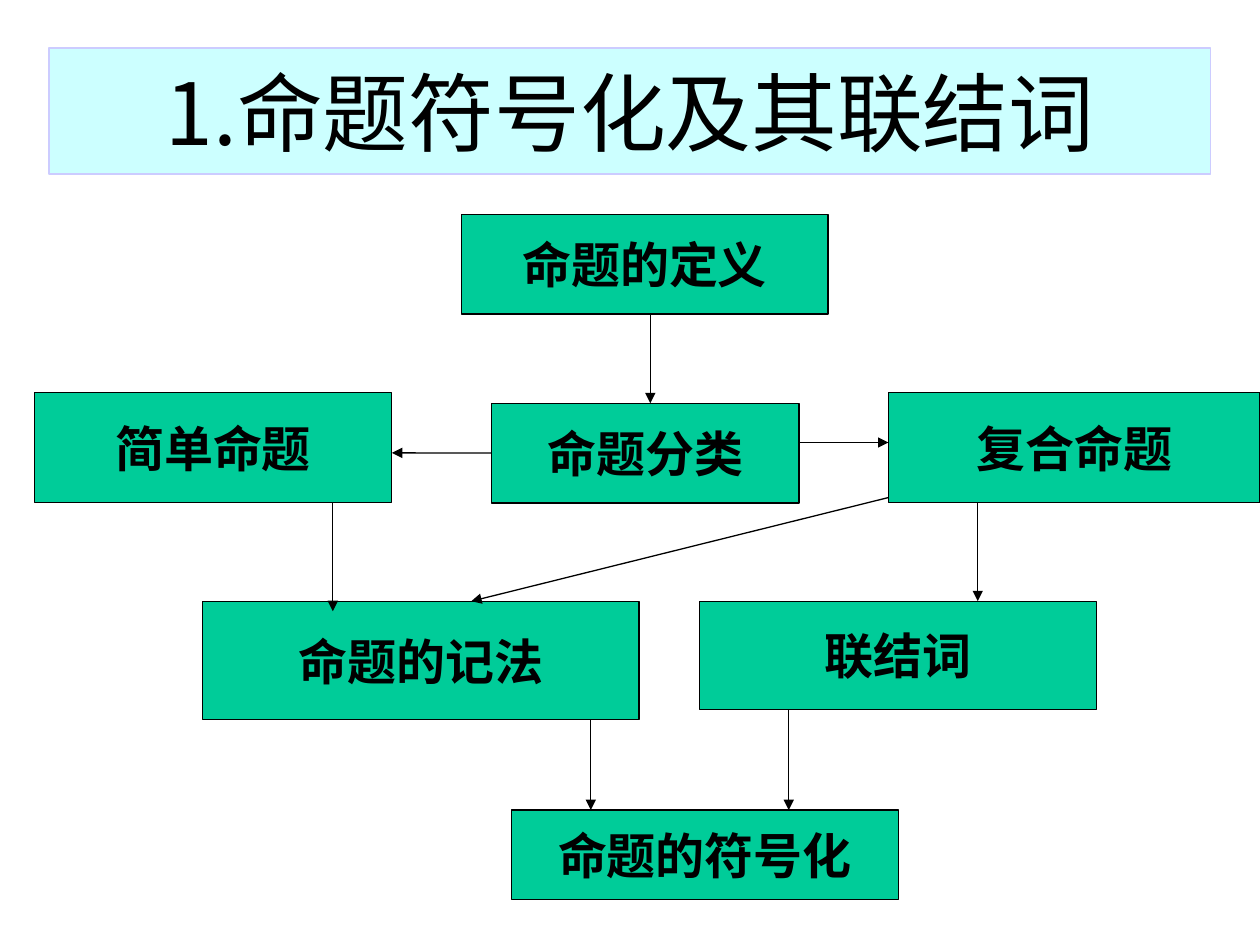
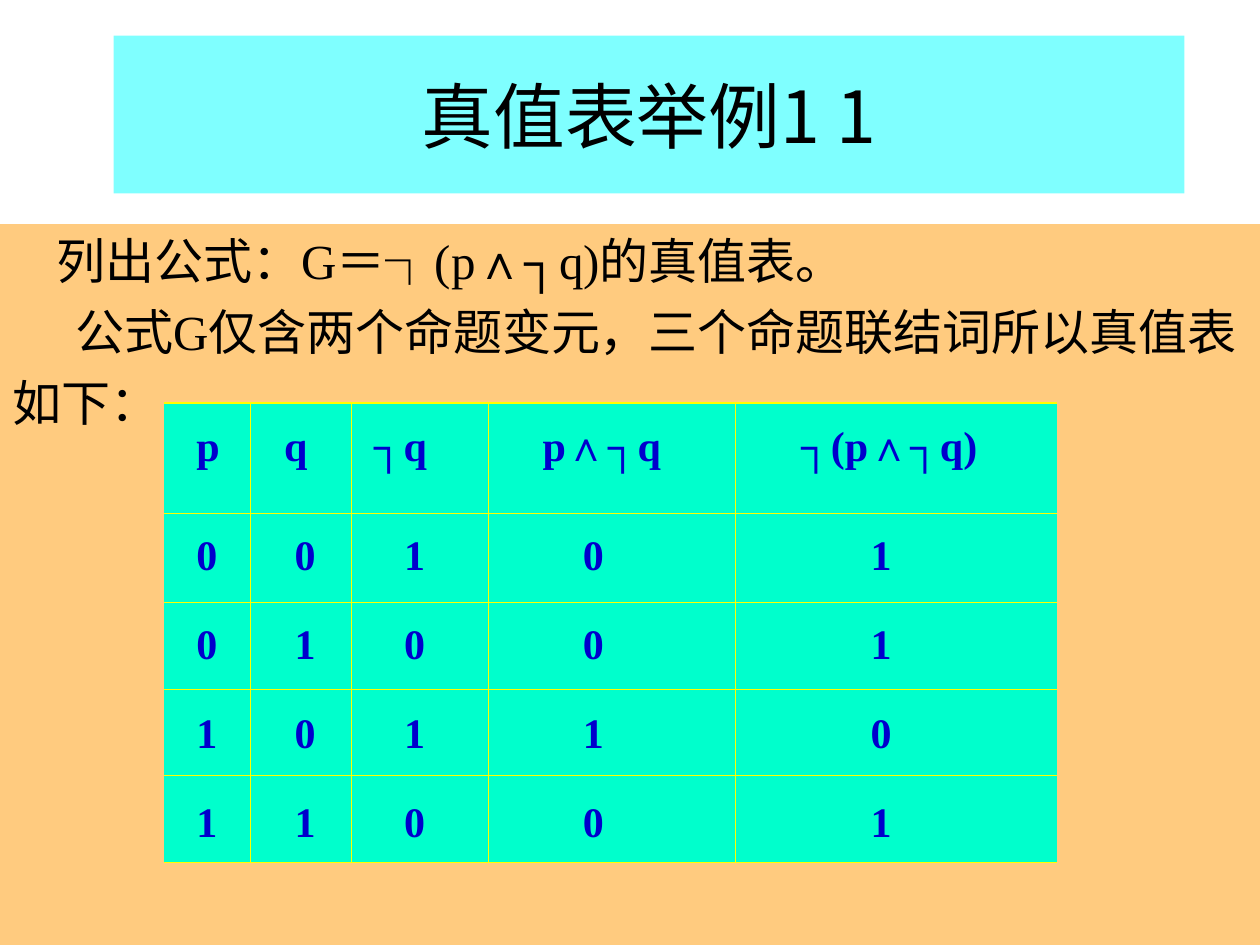
from dataclasses import dataclass

from lxml import etree
from pptx import Presentation
from pptx import util as u
from pptx.dml.color import RGBColor
from pptx.enum import shapes, text
from pptx.oxml import ns


@dataclass(frozen=True)
class Theme:
    ink: str = "000000"
    title_border: str = "CCCCFF"
    outline_title: str = "CCFFFF"
    example_title: str = "00FFFF"
    body_fill: str = "FF9900"
    node: str = "00CC99"
    cell: str = "00FFCC"
    grid: str = "FFFF00"
    value: str = "0000CC"
    serif: str = "Times New Roman"
    sans: str = "Noto Sans CJK JP"
    outline_title_size: int = 49
    example_title_size: int = 41
    text_size: int = 28
    value_size: int = 24
    line: float = 0.75
    inner_line: float = 0.45
    outer_line: float = 1.08


THEME = Theme()

# Outline: name -> left, top, width, height inside the diagram
NODES = {
    "命题的定义": (8.61, 0, 7.39, 2.01),
    "命题分类": (9.22, 3.81, 6.2, 2.01),
    "命题的记法": (3.4, 7.8, 8.79, 2.39),
    "联结词": (13.41, 7.8, 8, 2.18),
    "命题的符号化": (9.62, 12.01, 7.8, 1.8),
    "简单命题": (0, 3.6, 7.21, 2.21),
    "复合命题": (17.22, 3.6, 7.49, 2.21),
}
# Arrows: start x, y, end x, y inside the diagram
ARROWS = [
    (12.42, 2.01, 12.42, 3.81),
    (15.42, 4.6, 17.22, 4.6),
    (6.02, 5.81, 6.02, 8),
    (17.22, 5.71, 8.81, 7.8),
    (19.02, 5.81, 19.02, 7.8),
    (11.22, 10.2, 11.22, 12.01),
    (15.21, 9.98, 15.21, 12.01),
]
CLASSES_TO_SIMPLE = (9.22, 4.81, 7.21, 4.81)

# Body paragraphs: text, left margin, first-line indent, space before
BODY = [
    ("列出公式：G＝┐(p∧┐q)的真值表。", 0.9, 0, 0),
    ("公式G仅含两个命题变元，三个命题联结词所以真值表", 0.97, 0.3, 7),
    ("如下：", 0, 0, 7),
]

# Truth table
HEADINGS = ["p", "q", "┐q", "p∧┐q", "┐(p∧┐q)"]
VALUES = ["00101", "01001", "10110", "11001"]
COLUMN_WIDTHS = [1.75, 2.03, 2.77, 4.98, 6.48]
ROW_HEIGHTS = [2.21, 1.8, 1.75, 1.75, 1.75]
HEADING_LEFTS = [0.41, 2.18, 3.99, 7.39, 12.6]
HEADING_WIDTHS = [1, 1, 2.2, 3.4, 4.4]
VALUE_LEFTS = [0.41, 2.39, 4.6, 8.2, 14]


def cm(*lengths):
    return [u.Cm(length) for length in lengths]


def paint(fill, color, opacity=None):
    fill.solid()
    fill.fore_color.rgb = RGBColor.from_string(color)
    if opacity is not None:
        tint = fill._xPr.find(".//" + ns.qn("a:srgbClr"))
        etree.SubElement(tint, ns.qn("a:alpha"), val=str(opacity * 1000))


def style(font, size, color=THEME.ink, name=THEME.serif, bold=False):
    font.size, font.name, font.bold = u.Pt(size), name, bold
    font.color.rgb = RGBColor.from_string(color)


def add_panel(slide, box, color, opacity=None, border=None,
              kind=shapes.MSO_SHAPE.RECTANGLE):
    panel = slide.shapes.add_shape(kind, *cm(*box))
    panel.shadow.inherit = False
    paint(panel.fill, color, opacity)
    if border:
        panel.line.color.rgb = RGBColor.from_string(border)
        panel.line.width = u.Pt(THEME.line)
    else:
        panel.line.fill.background()
    return panel


def add_title(slide, box, parts, size, color, opacity=None, border=None):
    """Title band; parts are (text, font name) pairs."""
    band = add_panel(slide, box, color, opacity, border)
    band.text_frame.vertical_anchor = text.MSO_ANCHOR.MIDDLE
    heading = band.text_frame.paragraphs[0]
    heading.alignment = text.PP_ALIGN.CENTER
    for words, name in parts:
        run = heading.add_run()
        run.text = words
        style(run.font, size, name=name)


def add_node(slide, box, name):
    node = add_panel(slide, box, THEME.node, border=THEME.ink,
                     kind=shapes.MSO_SHAPE.FLOWCHART_PROCESS)
    frame = node.text_frame
    frame.word_wrap = False
    frame.vertical_anchor = text.MSO_ANCHOR.MIDDLE
    label = frame.paragraphs[0]
    label.text = name
    label.alignment = text.PP_ALIGN.CENTER
    style(label.font, THEME.text_size, bold=True)
    return node


def add_arrow(slide, left, top, ends):
    x1, y1, x2, y2 = ends
    arrow = slide.shapes.add_connector(
        shapes.MSO_CONNECTOR.STRAIGHT,
        *cm(left + x1, top + y1, left + x2, top + y2))
    arrow.line.color.rgb = RGBColor.from_string(THEME.ink)
    arrow.line.width = u.Pt(THEME.line)
    etree.SubElement(arrow.line._get_or_add_ln(), ns.qn("a:tailEnd"),
                     type="triangle")
    etree.SubElement(arrow._element.spPr, ns.qn("a:effectLst"))
    return arrow


def add_diagram(slide, left, top):
    nodes = {name: add_node(slide, (left + x, top + y, w, h), name)
             for name, (x, y, w, h) in NODES.items()}
    for ends in ARROWS:
        add_arrow(slide, left, top, ends)
    to_simple = add_arrow(slide, left, top, CLASSES_TO_SIMPLE)
    to_simple.begin_connect(nodes["命题分类"], 1)


def add_body(slide, box):
    frame = add_panel(slide, box, THEME.body_fill, 50).text_frame
    frame.vertical_anchor = text.MSO_ANCHOR.TOP
    for i, (words, margin, indent, before) in enumerate(BODY):
        line = frame.add_paragraph() if i else frame.paragraphs[0]
        line.text = words
        line.alignment = text.PP_ALIGN.LEFT
        line.space_before = u.Pt(before)
        properties = line._p.get_or_add_pPr()
        properties.set("marL", str(u.Cm(margin)))
        properties.set("indent", str(u.Cm(indent)))
        style(line.font, THEME.text_size)


def set_borders(cell, widths):
    """Draw the cell's sides; a width of None leaves a side open."""
    properties = cell._tc.get_or_add_tcPr()
    for i, (side, width) in enumerate(widths.items()):
        border = etree.Element(ns.qn("a:" + side), w=str(u.Pt(width or 0)))
        if width:
            solid = etree.SubElement(border, ns.qn("a:solidFill"))
            etree.SubElement(solid, ns.qn("a:srgbClr"), val=THEME.grid)
        else:
            etree.SubElement(border, ns.qn("a:noFill"))
        properties.insert(i, border)


def add_grid(slide, left, top):
    rows, columns = len(ROW_HEIGHTS), len(COLUMN_WIDTHS)
    table = slide.shapes.add_table(
        rows, columns,
        *cm(left, top, sum(COLUMN_WIDTHS), sum(ROW_HEIGHTS))).table
    table.first_row = table.horz_banding = False
    for column, width in zip(table.columns, COLUMN_WIDTHS):
        column.width = u.Cm(width)
    for row, height in zip(table.rows, ROW_HEIGHTS):
        row.height = u.Cm(height)
    inner, outer = THEME.inner_line, THEME.outer_line
    for r in range(rows):
        for c in range(columns):
            cell = table.cell(r, c)
            paint(cell.fill, THEME.cell)
            set_borders(cell, {
                "lnL": inner if c else None,
                "lnR": inner if c < columns - 1 else None,
                "lnT": inner if r else outer,
                "lnB": inner if r < rows - 1 else outer,
            })


def add_entry(slide, left, top, width, words):
    entry = slide.shapes.add_textbox(*cm(left, top, width, 1.27))
    entry.text_frame.word_wrap = True
    line = entry.text_frame.paragraphs[0]
    line.text = words
    style(line.font, THEME.value_size, THEME.value, bold=True)


def add_truth_table(slide, left, top):
    add_grid(slide, left, top)
    for x, width, heading in zip(HEADING_LEFTS, HEADING_WIDTHS, HEADINGS):
        add_entry(slide, left + x, top + 0.2, width, heading)
    for r, values in enumerate(VALUES):
        for x, value in zip(VALUE_LEFTS, values):
            add_entry(slide, left + x, top + 2.39 + 1.8 * r, 1, value)


def build_outline(slide):
    add_title(slide, (0.99, 0.97, 23.42, 2.54),
              [("1.", THEME.sans), ("命题符号化及其联结词", THEME.serif)],
              THEME.outline_title_size, THEME.outline_title,
              border=THEME.title_border)
    add_diagram(slide, 0.69, 4.32)


def build_example(slide):
    add_title(slide, (2.29, 0.72, 21.59, 3.18),
              [("真值表举例1 1", THEME.sans)],
              THEME.example_title_size, THEME.example_title, opacity=50)
    add_body(slide, (0, 4.52, 25.4, 14.53))
    add_truth_table(slide, 3.3, 8.13)


def main():
    deck = Presentation()
    deck.slide_width, deck.slide_height = cm(25.4, 19.05)
    for build in (build_outline, build_example):
        build(deck.slides.add_slide(deck.slide_layouts[6]))
    deck.save("out.pptx")


if __name__ == "__main__":
    main()
